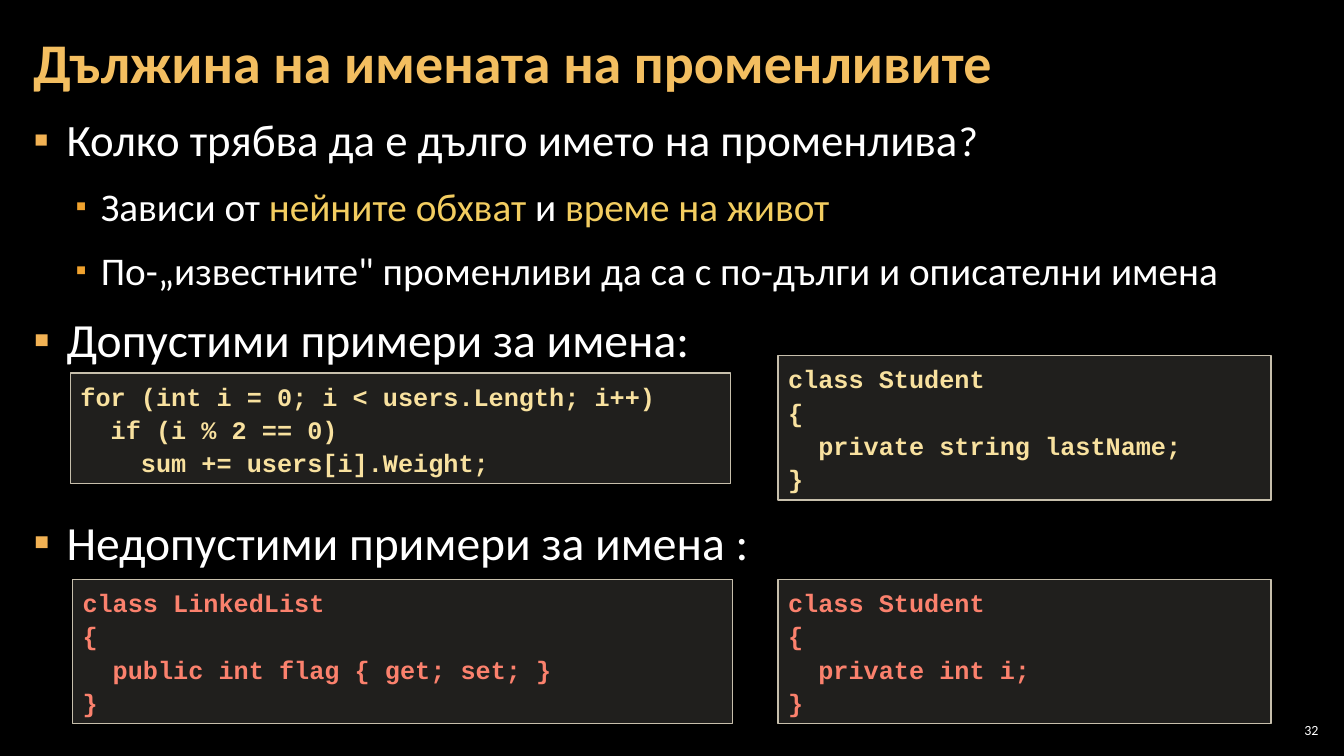
from lxml.etree import SubElement as Sub
from pptx import Presentation
from pptx.dml.color import RGBColor as RGB
from pptx.enum.shapes import MSO_SHAPE as Kind
from pptx.enum.text import MSO_ANCHOR as Anchor, MSO_AUTO_SIZE as Auto, PP_ALIGN as Align
from pptx.oxml.ns import qn
from pptx.util import Inches, Pt

hues = {"back": "000000", "text": "FFFFFF", "title": "F3BE60", "mark": "F3CD60",
        "dot": "F2B254", "subdot": "F0A22E", "panel": "D9D5C7", "edge": "C7BFAC",
        "good": "F8E19F", "bad": "FB816D"}

# Grid of 160 columns by 90 rows
unit = Inches(1) / 12
deck = Presentation()
deck.slide_width, deck.slide_height = int(160 * unit), int(90 * unit)
slide = deck.slides.add_slide(deck.slide_layouts[1])
slide.background.fill.solid()
slide.background.fill.fore_color.rgb = RGB.from_string(hues["back"])


def place(shape, spot, **form):
    for side, cells in zip(("left", "top", "width", "height"), spot):
        setattr(shape, side, int(cells * unit))
    frame = shape.text_frame
    for key, val in form.items():
        setattr(frame, key, val)
    return frame


def write(para, text, hue, size, face="Calibri", bold=False):
    run = para.add_run()
    run.text = text
    for key, val in {"name": face, "size": Pt(size), "bold": bold}.items():
        setattr(run.font, key, val)
    run.font.color.rgb = RGB.from_string(hues[hue])


inset = {"margin_left": Inches(0.12), "margin_right": Inches(0.12),
         "margin_top": Inches(0.04), "margin_bottom": Inches(0.04),
         "word_wrap": True, "auto_size": Auto.NONE}

# Bulleted list: level, space before, runs
items = [
    (0, 0, [("Колко трябва да е дълго името на променлива", "text", 32), ("?", "text", 30)]),
    (1, 6, [("Зависи от ", "text", 28), ("нейните обхват ", "mark", 28),
            ("и ", "text", 28), ("време на живот", "mark", 28)]),
    (1, 6, [("По-„известните\" променливи да са с по-дълги и описателни имена", "text", 28)]),
    (0, 6, [("Допустими примери за имена:", "text", 34)]),
    (0, 98, [("Недопустими примери за имена :", "text", 34)]),
]
looks = [(0.33, -0.33, "dot", 100), (0.67, -0.25, "subdot", 80)]
body = place(slide.placeholders[1], (2.52, 12.84, 154.92, 73.08),
             vertical_anchor=Anchor.TOP, **inset)
for num, (level, gap, parts) in enumerate(items):
    para = body.add_paragraph() if num else body.paragraphs[0]
    left, hang, dot, share = looks[level]
    form = {"level": level, "space_before": Pt(gap), "space_after": Pt(6),
            "line_spacing": 1.0, "alignment": Align.LEFT}
    for key, val in form.items():
        setattr(para, key, val)
    props = para._p.get_or_add_pPr()
    props.set("marL", str(Inches(left)))
    props.set("indent", str(Inches(hang)))
    Sub(Sub(props, qn("a:buClr")), qn("a:srgbClr"), val=hues[dot])
    Sub(props, qn("a:buSzPct"), val=str(share * 1000))
    Sub(props, qn("a:buFont"), typeface="Arial")
    Sub(props, qn("a:buChar"), char="▪")
    for text, hue, size in parts:
        write(para, text, hue, size)

# Title
head = place(slide.shapes.title, (2.52, 0.48, 154.92, 14.52),
             vertical_anchor=Anchor.MIDDLE, **inset)
para = head.paragraphs[0]
para.alignment, para.line_spacing = Align.LEFT, 0.9
write(para, "Дължина на имената на променливите", "title", 40, bold=True)

# Code panels
wide, slim, tall = 78.6, 58.68, 17.16
right, low = 92.64, 69
panels = [
    ((8.4, 44.4, wide, 13.2), "good",
     ["for (int i = 0; i < users.Length; i++)", "  if (i % 2 == 0)",
      "    sum += users[i].Weight;"]),
    ((right, 42.36, slim, tall), "good",
     ["class Student", "{", "  private string lastName;", "}"]),
    ((right, low, slim, tall), "bad",
     ["class Student", "{", "  private int i;", "}"]),
    ((8.64, low, wide, tall), "bad",
     ["class LinkedList", "{", "  public int flag { get; set; }", "}"]),
]
for spot, hue, lines in panels:
    panel = slide.shapes.add_shape(Kind.RECTANGLE, 0, 0, 0, 0)
    panel.shadow.inherit = False
    panel.fill.solid()
    panel.fill.fore_color.rgb = RGB.from_string(hues["panel"])
    tint = panel._element.spPr.find(qn("a:solidFill"))[0]
    Sub(tint, qn("a:alpha"), val="15000")
    panel.line.color.rgb = RGB.from_string(hues["edge"])
    panel.line.width = Pt(1)
    frame = place(panel, spot, vertical_anchor=Anchor.TOP, word_wrap=True,
                  auto_size=Auto.SHAPE_TO_FIT_TEXT)
    for num, line in enumerate(lines):
        para = frame.add_paragraph() if num else frame.paragraphs[0]
        para.alignment, para.line_spacing = Align.LEFT, 1.1
        write(para, line, hue, 18, "Courier New", True)

# Page number
edge = {f"margin_{side}": Inches(0.04) for side in ("left", "right", "top", "bottom")}
page = place(slide.shapes.add_textbox(0, 0, 0, 0), (151.8, 85.68, 5.64, 2.52),
             vertical_anchor=Anchor.MIDDLE, word_wrap=True, **edge)
page.paragraphs[0].alignment = Align.RIGHT
write(page.paragraphs[0], "32", "text", 10)

deck.save("out.pptx")
